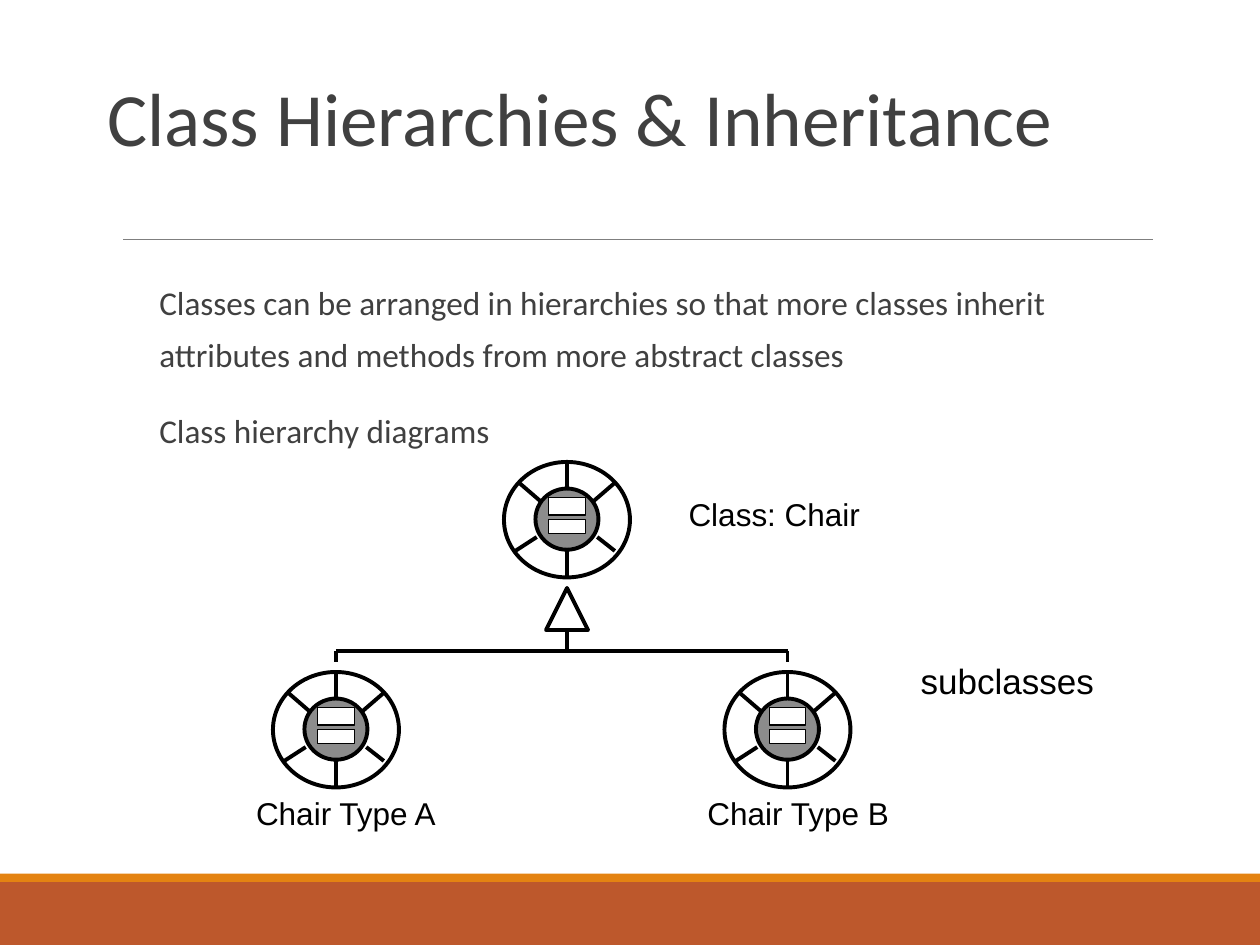
from pptx import Presentation
from pptx.dml.color import RGBColor
from pptx.enum.shapes import MSO_CONNECTOR, MSO_SHAPE
from pptx.enum.text import MSO_ANCHOR, MSO_AUTO_SIZE, PP_ALIGN
from pptx.oxml import parse_xml
from pptx.oxml.ns import nsdecls
from pptx.util import Inches, Pt

RECTANGLE = MSO_SHAPE.RECTANGLE
OVAL = MSO_SHAPE.OVAL
EXTRACT = MSO_SHAPE.FLOWCHART_EXTRACT
STRAIGHT = MSO_CONNECTOR.STRAIGHT

WIDTH, HEIGHT = Inches(10), Inches(7.5)
COLUMNS, ROWS = 120, 90
BLACK, WHITE, GRAPHITE = "000000", "FFFFFF", "404040"
STROKE = 2.25

SPOKES = [
    (0.5, 0, 0.5, 0.22), (0.5, 0.77, 0.5, 0.99),
    (0.12, 0.18, 0.29, 0.34), (0.74, 0.65, 0.88, 0.77),
    (0.09, 0.77, 0.26, 0.65), (0.71, 0.34, 0.88, 0.18),
]


def color(hex_string):
    return RGBColor.from_string(hex_string)


def x_at(column):
    return round(WIDTH * column / COLUMNS)


def y_at(row):
    return round(HEIGHT * row / ROWS)


def place(box):
    left, top, width, height = box
    return x_at(left), y_at(top), x_at(width), y_at(height)


def inside(box, share):
    left, top, width, height = box
    return (left + share[0] * width, top + share[1] * height,
            share[2] * width, share[3] * height)


def point_inside(box, across, down):
    return inside(box, (across, down, 0, 0))[:2]


def add_figure(slide, kind, box, fill=None, outline=None, weight=STROKE):
    figure = slide.shapes.add_shape(kind, *place(box))
    figure.shadow.inherit = False
    if fill:
        figure.fill.solid()
        figure.fill.fore_color.rgb = color(fill)
    else:
        figure.fill.background()
    if outline:
        figure.line.color.rgb = color(outline)
        figure.line.width = Pt(weight)
    else:
        figure.line.fill.background()


def add_line(slide, start, end, stroke=BLACK, weight=STROKE):
    line = slide.shapes.add_connector(
        STRAIGHT, x_at(start[0]), y_at(start[1]), x_at(end[0]), y_at(end[1]))
    line.line.color.rgb = color(stroke)
    line.line.width = Pt(weight)
    line._element.spPr.append(parse_xml(f"<a:effectLst {nsdecls('a')}/>"))


def style_text(paragraph, size, typeface, ink):
    for run in paragraph.runs:
        run.font.size = Pt(size)
        run.font.name = typeface
        run.font.color.rgb = color(ink)


def add_label(slide, box, wording, size=18):
    label = slide.shapes.add_textbox(*place(box))
    frame = label.text_frame
    frame.word_wrap = False
    frame.auto_size = MSO_AUTO_SIZE.SHAPE_TO_FIT_TEXT
    frame.text = wording
    style_text(frame.paragraphs[0], size, "Arial", BLACK)


def add_backdrop(slide):
    add_figure(slide, RECTANGLE, (0, 84, COLUMNS, 6), "BD582C")
    add_figure(slide, RECTANGLE, (0, 83.2, COLUMNS, 0.8), "E48312")
    add_line(slide, (11.76, 22.8), (109.8, 22.8), "7F7F7F", 0.5)


def add_title(slide, box, wording):
    title = slide.shapes.title
    title.left, title.top, title.width, title.height = place(box)
    frame = title.text_frame
    frame.text = wording
    frame.vertical_anchor = MSO_ANCHOR.BOTTOM
    frame.auto_size = MSO_AUTO_SIZE.NONE
    heading = frame.paragraphs[0]
    heading.alignment = PP_ALIGN.LEFT
    heading.line_spacing = 0.85
    style_text(heading, 43, "Calibri", GRAPHITE)


def add_body(slide, box, statements):
    frame = slide.shapes.add_textbox(*place(box)).text_frame
    frame.word_wrap = True
    frame.margin_right = 0
    frame.text = "\n".join(statements)
    for position, statement in enumerate(frame.paragraphs):
        statement.line_spacing = 1.3
        statement.space_before = Pt(12 if position else 0)
        statement.space_after = Pt(2)
        style_text(statement, 19, "Calibri", GRAPHITE)


def add_class_symbol(slide, box):
    add_figure(slide, OVAL, box, outline=BLACK)
    add_figure(slide, OVAL, inside(box, (0.25, 0.23, 0.5, 0.53)), "8C8C8C", BLACK)
    for x1, y1, x2, y2 in SPOKES:
        add_line(slide, point_inside(box, x1, y1), point_inside(box, x2, y2))
    for top, height in [(0.31, 0.15), (0.5, 0.12)]:
        add_figure(slide, RECTANGLE, inside(box, (0.355, top, 0.29, height)),
                   WHITE, BLACK, 0.75)


def add_hierarchy(slide, box):
    left, top, width, height = box
    symbol_width, symbol_height = 12, 11
    parent_x = left + 28
    child_xs = [left + symbol_width / 2, left + width - symbol_width / 2]
    child_top = top + height - symbol_height
    bar_y = child_top - 2

    for center, symbol_top in [(parent_x, top), *((x, child_top) for x in child_xs)]:
        add_class_symbol(slide, (center - symbol_width / 2, symbol_top,
                                 symbol_width, symbol_height))

    add_figure(slide, EXTRACT, (parent_x - 2, bar_y - 6, 4, 4), WHITE, BLACK)
    add_line(slide, (parent_x, bar_y - 2), (parent_x, bar_y))
    add_line(slide, (child_xs[0], bar_y), (child_xs[1], bar_y))
    for child_x, wording in zip(child_xs, ["Chair Type A", "Chair Type B"]):
        add_line(slide, (child_x, bar_y), (child_x, bar_y + 1))
        add_label(slide, (child_x - 8.8, top + height, 20, 4.8), wording)

    add_label(slide, (parent_x + 10.4, top + 2.6, 19, 4.8), "Class: Chair")
    add_label(slide, (left + width + 5.5, child_top - 1.8, 19.4, 5.3),
              "subclasses", 20)


def main():
    deck = Presentation()
    deck.slide_width, deck.slide_height = WIDTH, HEIGHT
    slide = deck.slides.add_slide(deck.slide_layouts[5])
    add_backdrop(slide)
    add_title(slide, (9, 8, 102, 8), "Class Hierarchies & Inheritance")
    add_body(slide, (14, 25.15, 97, 20), [
        "Classes can be arranged in hierarchies so that more classes inherit "
        "attributes and methods from more abstract classes",
        "Class hierarchy diagrams",
    ])
    add_hierarchy(slide, (26, 44, 55, 31))
    deck.save("out.pptx")


if __name__ == "__main__":
    main()
